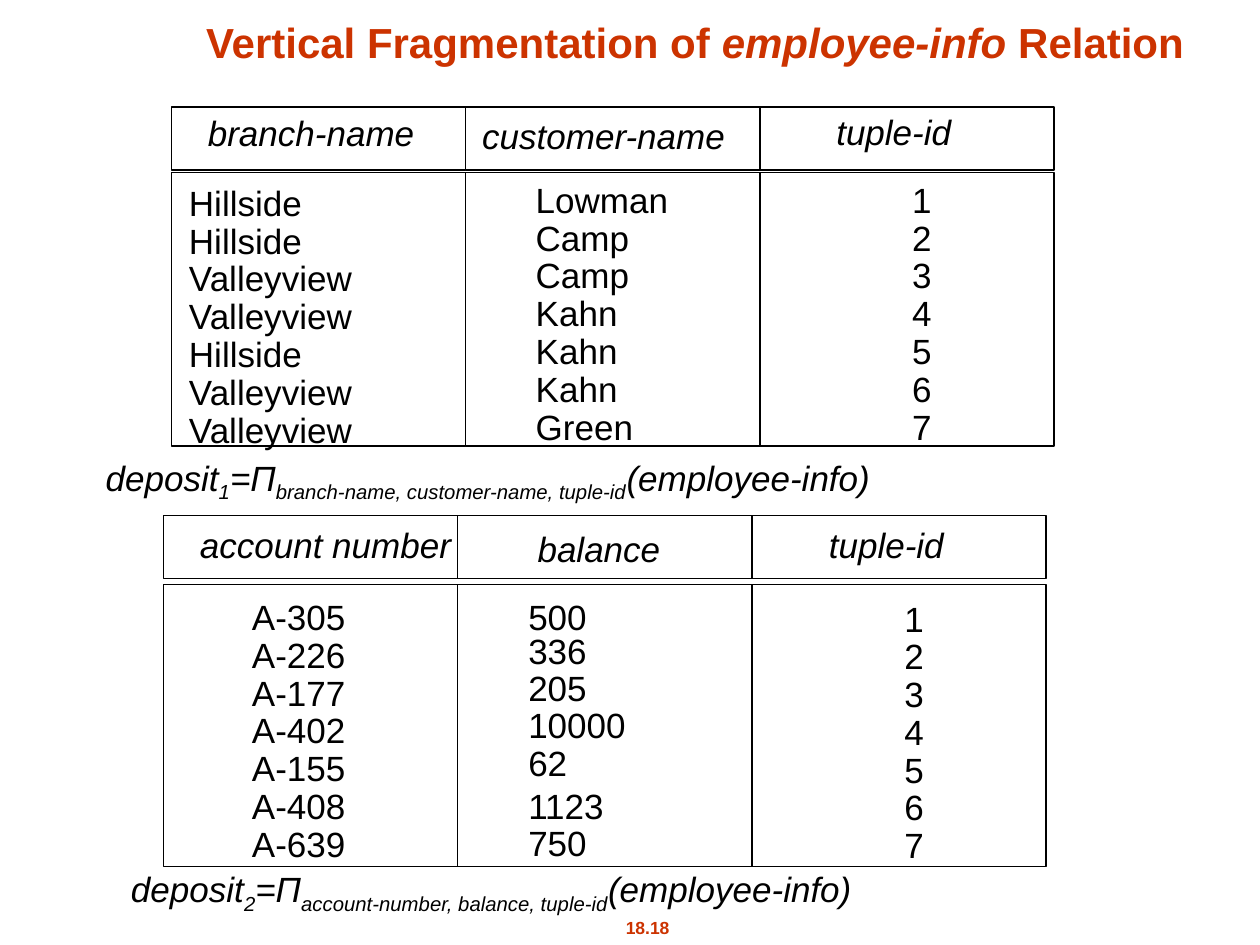
from pptx import Presentation
from pptx import util as u
from pptx.dml.color import RGBColor
from pptx.enum import shapes, text

COLORS = {"heading": "CC3300", "ink": "000000"}
FONT = "Arial"
COLUMN_WIDTH = 5.93
LINE_HEIGHT = 0.9
TUPLE_IDS = ["1", "2", "3", "4", "5", "6", "7"]

# Content; text places are (left, top, width) in cm
title = [("Vertical Fragmentation of ", ""), ("employee-info ", "i"), ("Relation", "")]
page_number = "18.18"
fragments = [
    {
        "left": 3.46, "head_top": 2.16, "body_top": 3.48, "body_height": 5.51,
        "columns": [
            ("branch-name", (3.94, 2.12, 4.67), (3.56, 3.54, 3.84),
             ["Hillside", "Hillside", "Valleyview", "Valleyview", "Hillside",
              "Valleyview", "Valleyview"]),
            ("customer-name", (9.47, 2.18, 5.41), (10.55, 3.48, 3.18),
             ["Lowman", "Camp", "Camp", "Kahn", "Kahn", "Kahn", "Green"]),
            ("tuple-id", (16.61, 2.11, 2.82), (18.14, 3.48, 0.89), TUPLE_IDS),
        ],
        "number": "1", "attributes": "branch-name, customer-name, tuple-id",
        "formula_place": (1.88, 9.07, 15.95),
    },
    {
        "left": 3.3, "head_top": 10.39, "body_top": 11.78, "body_height": 5.69,
        "columns": [
            ("account number", (3.78, 10.42, 5.65), (4.83, 11.89, 2.39),
             ["A-305", "A-226", "A-177", "A-402", "A-155", "A-408", "A-639"]),
            ("balance", (10.54, 10.5, 3.07), (10.4, 11.79, 2.56),
             ["500", "336", "205", "10000", "62", "1123", "750"]),
            ("tuple-id", (16.46, 10.42, 2.82), (17.98, 11.92, 0.89), TUPLE_IDS),
        ],
        "number": "2", "attributes": "account-number, balance, tuple-id",
        "formula_place": (2.39, 17.36, 15.09),
    },
]
# Line spacing that differs from the usual, by column and row
spacing_exceptions = {("balance", 0): 1.1, ("balance", 1): 0.8, ("balance", 5): 1.0}

deck = Presentation()
deck.slide_width, deck.slide_height = u.Cm(25.4), u.Cm(19.05)
slide = deck.slides.add_slide(deck.slide_layouts[6])


def add_cell(left, top, width, height):
    cell = slide.shapes.add_shape(
        shapes.MSO_SHAPE.RECTANGLE, u.Cm(left), u.Cm(top), u.Cm(width), u.Cm(height))
    cell.shadow.inherit = False
    cell.fill.background()
    cell.line.color.rgb = RGBColor.from_string(COLORS["ink"])
    cell.line.width = u.Pt(0.75)


def add_text(place, height, lines, size=20, color="ink", bold=False, wrap=False):
    """Each line is a list of (words, style); style holds i and/or s (subscript)."""
    left, top, width = place
    box = slide.shapes.add_textbox(u.Cm(left), u.Cm(top), u.Cm(width), u.Cm(height))
    frame = box.text_frame
    frame.word_wrap = wrap
    # Unwrapped boxes grow with their text, so no line breaks
    fit = text.MSO_AUTO_SIZE
    frame.auto_size = fit.NONE if wrap else fit.SHAPE_TO_FIT_TEXT
    for index, line in enumerate(lines):
        paragraph = frame.paragraphs[0] if index == 0 else frame.add_paragraph()
        for words, style in line:
            run = paragraph.add_run()
            run.text = words
            run.font.name, run.font.size = FONT, u.Pt(size)
            run.font.bold, run.font.italic = bold, "i" in style
            run.font.color.rgb = RGBColor.from_string(COLORS[color])
            if "s" in style:
                run.font._element.set("baseline", "-25000")
    return frame


# Page number
footer = add_text((11.71, 18.36, 2.69), 0.69, [[(page_number, "")]], 10, "heading", True)
footer.paragraphs[0].alignment = text.PP_ALIGN.CENTER
footer.paragraphs[0].space_before = u.Pt(6.2)

# Title
heading = add_text((2.62, 0, 22.78), 1.48, [title], 24, "heading", True, wrap=True)
heading.vertical_anchor = text.MSO_ANCHOR.BOTTOM
heading.paragraphs[0].alignment = text.PP_ALIGN.CENTER
heading.paragraphs[0].line_spacing = LINE_HEIGHT

# Fragments with their formulas
for fragment in fragments:
    for position, (name, name_place, values_place, values) in enumerate(fragment["columns"]):
        left = fragment["left"] + position * COLUMN_WIDTH
        add_cell(left, fragment["head_top"], COLUMN_WIDTH, 1.27)
        add_cell(left, fragment["body_top"], COLUMN_WIDTH, fragment["body_height"])
        label = add_text(name_place, 1.11, [[(name, "i")]])
        if name == "balance":
            label.paragraphs[0].alignment = text.PP_ALIGN.CENTER
        listing = add_text(values_place, 5.69, [[(value, "")] for value in values])
        for row, paragraph in enumerate(listing.paragraphs):
            usual = LINE_HEIGHT if row else 1.0
            paragraph.line_spacing = spacing_exceptions.get((name, row), usual)
    add_text(fragment["formula_place"], 1.22, [[
        ("deposit", "i"), (fragment["number"], "is"), ("=Π", "i"),
        (fragment["attributes"], "is"), ("(employee-info)", "i")]])

deck.save("out.pptx")
